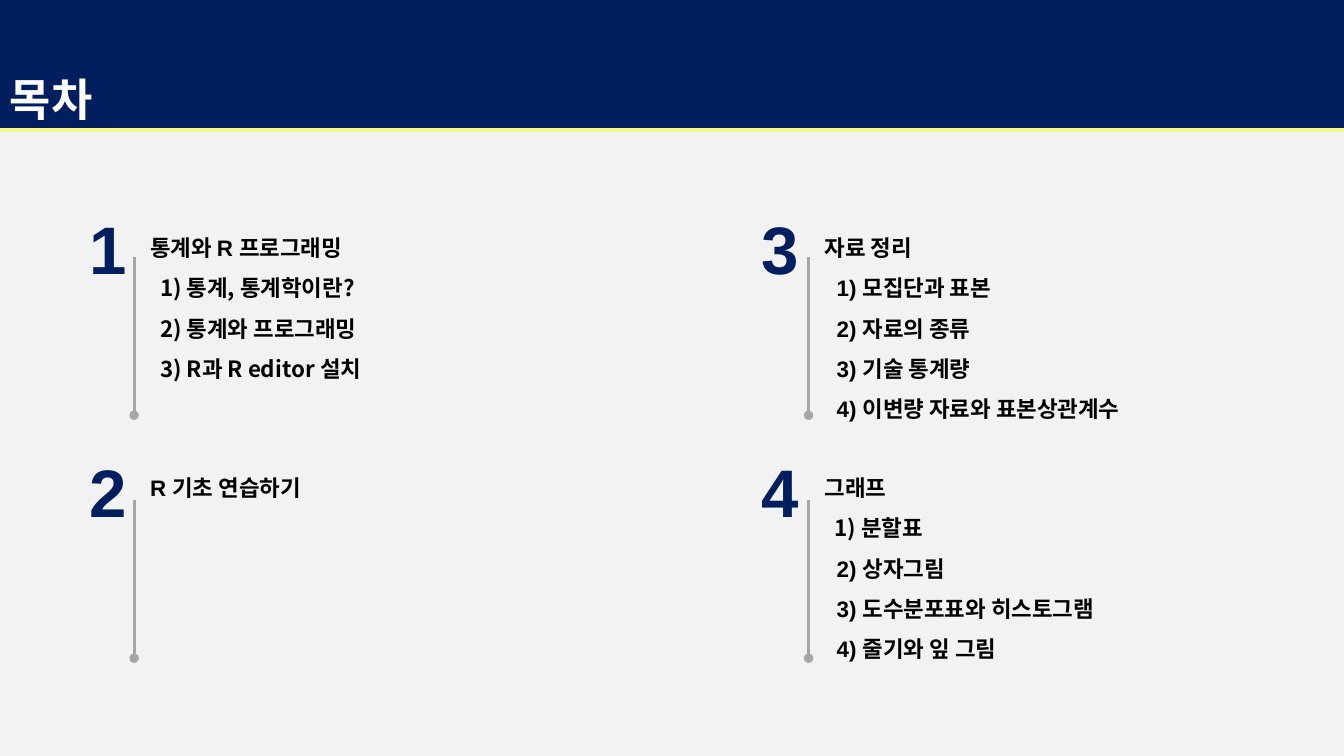
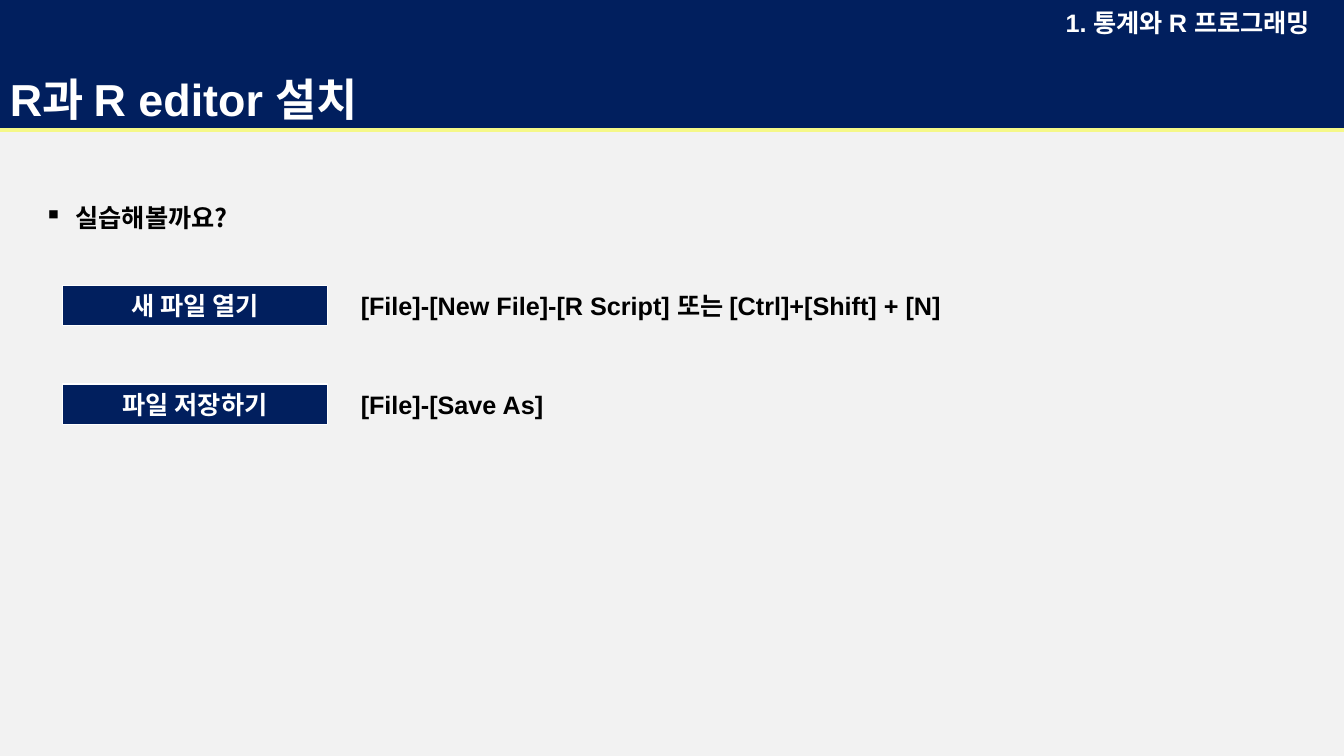
from lxml import etree
from pptx import Presentation
from pptx.dml.color import RGBColor
from pptx.enum.shapes import MSO_CONNECTOR, MSO_SHAPE
from pptx.enum.text import MSO_ANCHOR, PP_ALIGN
from pptx.oxml.ns import qn
from pptx.util import Inches, Pt

RECT = MSO_SHAPE.RECTANGLE
LINE = MSO_CONNECTOR.STRAIGHT
MID, LOW = MSO_ANCHOR.MIDDLE, MSO_ANCHOR.BOTTOM
LEFT, MIDST = PP_ALIGN.LEFT, PP_ALIGN.CENTER

HUES = {
    "navy": "011F5E",
    "pale": "F2F2F2",
    "lime": "F5F888",
    "gray": "A6A6A6",
    "white": "FFFFFF",
    "black": "000000",
}
SANS, HAN = "Arial", "Noto Sans CJK KR"
WIDE, TALL, BAND = 13.33, 7.5, 1.29
TIGHT, LOOSE = 1.2, 1.8


def hue(name):
    return RGBColor.from_string(HUES[name])


def style(par, size, tint="black", face=SANS, lead=TIGHT, align=LEFT):
    par.alignment = align
    par.line_spacing = Pt(round(size * lead, 1))
    for run in par.runs:
        font = run.font
        font.size, font.bold, font.name = Pt(size), True, face
        font.color.rgb = hue(tint)
        east = etree.SubElement(run._r.get_or_add_rPr(), qn("a:ea"))
        east.set("typeface", HAN)


def indent(par, left, hang=0):
    props = par._p.get_or_add_pPr()
    props.set("marL", str(Inches(left)))
    props.set("indent", str(Inches(-hang)))
    return props


def label(slide, box, text, size, wrap=True, **look):
    frame = slide.shapes.add_textbox(*map(Inches, box)).text_frame
    frame.word_wrap = wrap
    frame.text = text
    style(frame.paragraphs[0], size, **look)
    return frame


def block(slide, box, text, size, anchor, align, edge=None):
    shape = slide.shapes.add_shape(RECT, *map(Inches, box))
    shape.shadow.inherit = False
    shape.fill.solid()
    shape.fill.fore_color.rgb = hue("navy")
    if edge:
        shape.line.color.rgb = hue(edge)
        shape.line.width = Pt(1)
    else:
        shape.line.fill.background()
    frame = shape.text_frame
    frame.word_wrap = True
    frame.vertical_anchor = anchor
    frame.text = text
    style(frame.paragraphs[0], size, "white", align=align)


def rule(slide, start, end, tint, dot=False):
    line = slide.shapes.add_connector(LINE, *map(Inches, start + end))
    line.line.color.rgb = hue(tint)
    line.line.width = Pt(2.25)
    if dot:
        tail = etree.SubElement(line.line._get_or_add_ln(), qn("a:tailEnd"))
        tail.set("type", "oval")
    etree.SubElement(line._element.spPr, qn("a:effectLst"))


def page(deck, title):
    slide = deck.slides.add_slide(deck.slide_layouts[6])
    slide.background.fill.solid()
    slide.background.fill.fore_color.rgb = hue("pale")
    block(slide, (0, 0, WIDE, BAND), title, 32, LOW, LEFT)
    rule(slide, (0, BAND), (WIDE, BAND), "lime")
    return slide


def part(slide, left, top, stem, drop, digit, head, items, faces):
    label(slide, (left, top, 0.6, 1.3), digit, 48, tint="navy", lead=LOOSE)
    rule(slide, (stem, top + 0.94), (stem, top + 2.51), "gray", dot=True)
    box = (stem + 0.06, top + drop, 5.2, 2.1)
    frame = label(slide, box, head, 16, lead=LOOSE)
    for item, face in zip(items, faces):
        par = frame.add_paragraph()
        par.text = item
        style(par, 16, face=face, lead=LOOSE)
        indent(par, 0.1 if face == HAN else 0.12)


def outline(deck):
    slide = page(deck, "목차")
    cols = ((0.79, 1.33), (7.45, 8.02))
    rows = ((1.61, 0.53), (4.02, 0.5))
    parts = (
        ("통계와 R 프로그래밍",
         ("1) 통계, 통계학이란?", "2) 통계와 프로그래밍", "3) R과 R editor 설치"),
         (HAN, HAN, HAN)),
        ("R 기초 연습하기", (), ()),
        ("자료 정리",
         ("1) 모집단과 표본", "2) 자료의 종류", "3) 기술 통계량",
          "4) 이변량 자료와 표본상관계수"),
         (SANS, SANS, SANS, SANS)),
        ("그래프",
         ("1) 분할표", "2) 상자그림", "3) 도수분포표와 히스토그램",
          "4) 줄기와 잎 그림"),
         (HAN, SANS, SANS, SANS)),
    )
    for num, (head, items, faces) in enumerate(parts):
        left, stem = cols[num // 2]
        top, drop = rows[num % 2]
        part(slide, left, top, stem, drop, str(num + 1), head, items, faces)


def step(slide, left, top, name, keys):
    block(slide, (left, top, 2.63, 0.4), name, 18, MID, MIDST, "white")
    label(slide, (left + 2.86, top, 6.77, 0.4), keys, 18)


def lesson(deck):
    slide = page(deck, "R과 R editor 설치")
    label(slide, (10.47, 0.02, 2.87, 0.4), "1. 통계와 R 프로그래밍", 18,
          wrap=False, tint="white")
    frame = label(slide, (0.34, 1.81, 12.38, 0.5), "실습해볼까요?", 18,
                  face=HAN, lead=LOOSE)
    props = indent(frame.paragraphs[0], 0.31, 0.31)
    etree.SubElement(props, qn("a:buChar")).set("char", "▪")
    steps = (
        ("새 파일 열기", "[File]-[New File]-[R Script] 또는 [Ctrl]+[Shift] + [N]"),
        ("파일 저장하기", "[File]-[Save As]"),
    )
    for num, (name, keys) in enumerate(steps):
        step(slide, 0.62, 2.83 + 0.98 * num, name, keys)


def main():
    deck = Presentation()
    deck.slide_width, deck.slide_height = Inches(WIDE), Inches(TALL)
    outline(deck)
    lesson(deck)
    deck.save("out.pptx")


if __name__ == "__main__":
    main()
